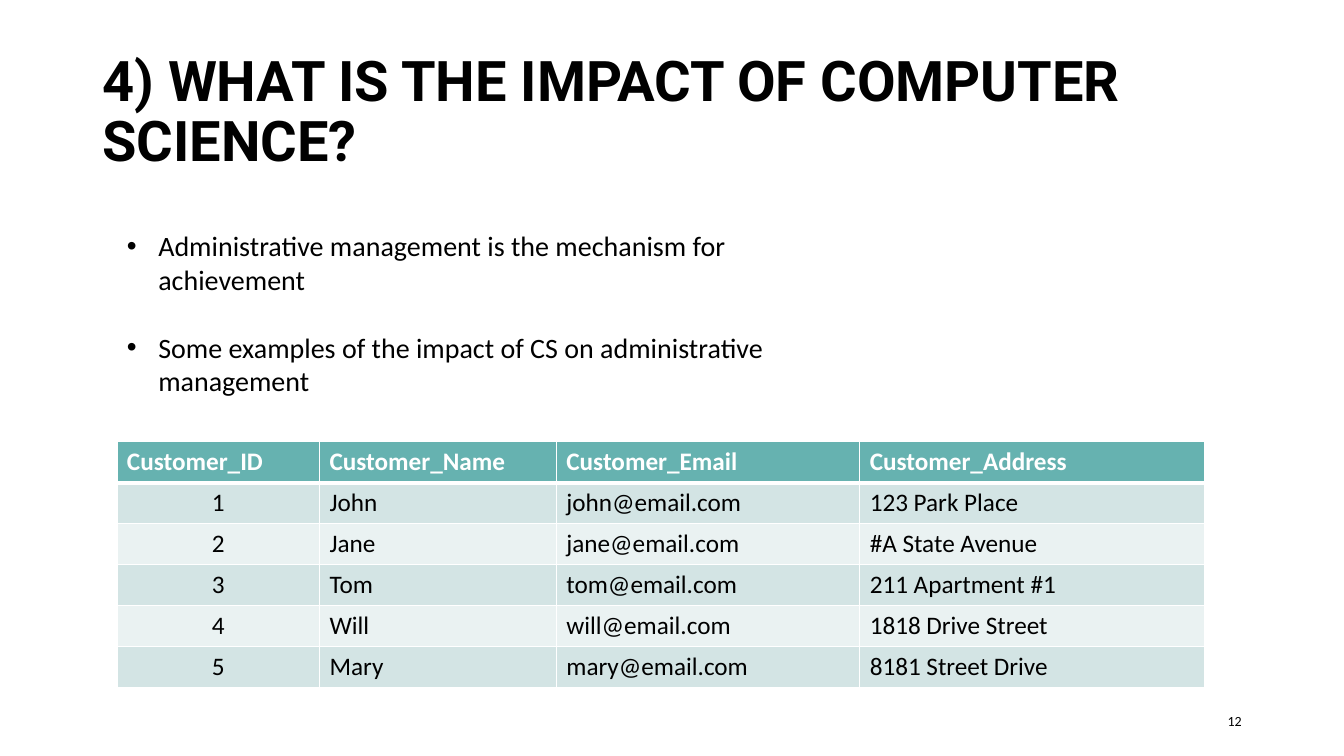
from lxml import etree
from pptx import Presentation
from pptx.dml.color import RGBColor
from pptx.enum.text import MSO_ANCHOR, PP_ALIGN
from pptx.oxml.ns import qn
from pptx.util import Pt

LEFT, CENTER, RIGHT = PP_ALIGN.LEFT, PP_ALIGN.CENTER, PP_ALIGN.RIGHT
TOP, MIDDLE = MSO_ANCHOR.TOP, MSO_ANCHOR.MIDDLE

TITLE = "4) WHAT IS THE IMPACT OF COMPUTER SCIENCE?"
BULLETS = [
    "Administrative management is the mechanism for achievement",
    "Some examples of the impact of CS on administrative management",
]
CUSTOMERS = [
    ("Customer_ID", "Customer_Name", "Customer_Email", "Customer_Address"),
    ("1", "John", "john@email.com", "123 Park Place"),
    ("2", "Jane", "jane@email.com", "#A State Avenue"),
    ("3", "Tom", "tom@email.com", "211 Apartment #1"),
    ("4", "Will", "will@email.com", "1818 Drive Street"),
    ("5", "Mary", "mary@email.com", "8181 Street Drive"),
]
PAGE_NUMBER = "12"

BLACK, WHITE = "000000", "FFFFFF"
HEADER_FILL = "66B2B0"
BAND_FILLS = ("EAF2F2", "D3E4E4")
COLUMN_WIDTHS = (144.7, 169.2, 216.7, 246.2)
ROW_HEIGHT = 29.2
TABLE_LEFT, TABLE_TOP = 83.5, 315.6
BULLET_INDENT = 22.5
BULLET_GAP = 24.4
THIN, THICK = 1, 3


def rgb(value):
    return RGBColor.from_string(value)


def style(para, size, font="Calibri", color=BLACK, bold=False, align=LEFT):
    para.alignment = align
    for span in para.runs:
        span.font.size = Pt(size)
        span.font.name = font
        span.font.bold = bold
        span.font.color.rgb = rgb(color)


def add_text(page, text, left, top, width, height, anchor):
    box = page.shapes.add_textbox(Pt(left), Pt(top), Pt(width), Pt(height))
    frame = box.text_frame
    frame.word_wrap = True
    frame.vertical_anchor = anchor
    frame.text = text
    return frame.paragraphs


def add_bullet(para):
    properties = para._p.get_or_add_pPr()
    properties.set("marL", str(Pt(BULLET_INDENT)))
    properties.set("indent", str(-Pt(BULLET_INDENT)))
    etree.SubElement(properties, qn("a:buFont")).set("typeface", "Arial")
    etree.SubElement(properties, qn("a:buChar")).set("char", "•")


def add_borders(cell, top, bottom):
    """Draw white cell borders; the lines must come before the cell's fill."""
    properties = cell._tc.get_or_add_tcPr()
    widths = {"a:lnL": THIN, "a:lnR": THIN, "a:lnT": top, "a:lnB": bottom}
    for position, (side, width) in enumerate(widths.items()):
        line = etree.Element(qn(side), w=str(Pt(width)))
        fill = etree.SubElement(line, qn("a:solidFill"))
        etree.SubElement(fill, qn("a:srgbClr")).set("val", WHITE)
        properties.insert(position, line)


def add_customer_table(page):
    table = page.shapes.add_table(
        len(CUSTOMERS), len(COLUMN_WIDTHS), Pt(TABLE_LEFT), Pt(TABLE_TOP),
        Pt(sum(COLUMN_WIDTHS)), Pt(ROW_HEIGHT * len(CUSTOMERS))).table
    for column, width in zip(table.columns, COLUMN_WIDTHS):
        column.width = Pt(width)
    for row_index, customer in enumerate(CUSTOMERS):
        table.rows[row_index].height = Pt(ROW_HEIGHT)
        header = row_index == 0
        for column_index, text in enumerate(customer):
            cell = table.cell(row_index, column_index)
            cell.text = text
            cell.fill.solid()
            cell.fill.fore_color.rgb = rgb(HEADER_FILL if header else BAND_FILLS[row_index % 2])
            add_borders(cell, THICK if row_index == 1 else THIN, THICK if header else THIN)
            centered = column_index == 0 and not header
            style(cell.text_frame.paragraphs[0], 18, color=WHITE if header else BLACK,
                  bold=header, align=CENTER if centered else LEFT)


def main():
    deck = Presentation()
    deck.slide_width, deck.slide_height = Pt(960), Pt(540)
    page = deck.slides.add_slide(deck.slide_layouts[6])

    title = add_text(page, TITLE, 66, 28.8, 828, 104.4, MIDDLE)[0]
    title.line_spacing = 0.9
    style(title, 40, font="Roboto", bold=True)

    number = add_text(page, PAGE_NUMBER, 678, 500.5, 216, 28.8, MIDDLE)[0]
    style(number, 10, align=RIGHT)

    add_customer_table(page)

    bullets = add_text(page, "\n".join(BULLETS), 83.5, 160, 535, 128, TOP)
    for index, para in enumerate(bullets):
        style(para, 20)
        para.space_before = Pt(BULLET_GAP if index else 0)
        add_bullet(para)

    deck.save("out.pptx")


if __name__ == "__main__":
    main()
